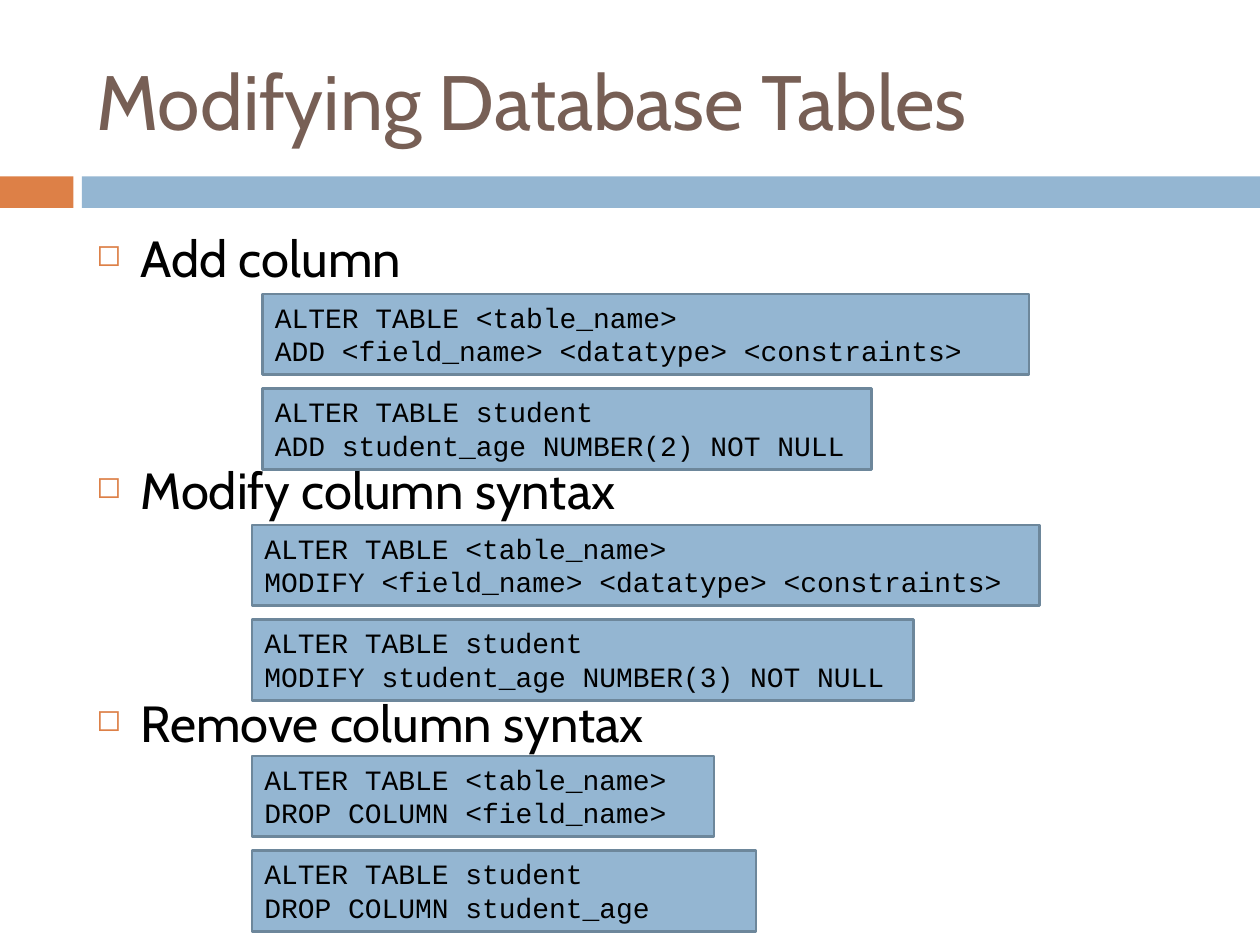
from dataclasses import dataclass

from lxml import etree
from pptx import Presentation
from pptx import util as u
from pptx.dml.color import RGBColor
from pptx.enum import shapes, text
from pptx.oxml import ns

ORANGE = RGBColor(0xDD, 0x80, 0x47)
BLUE = RGBColor(0x94, 0xB6, 0xD2)
EDGE = RGBColor(0x6D, 0x87, 0x9B)
BROWN = RGBColor(0x77, 0x5F, 0x55)
BLACK = RGBColor(0, 0, 0)

CELL = u.Inches(10) / 120
COLUMNS, ROWS = 120, 90
CODE_HEIGHT = 7.7
EXAMPLE_OFFSET = 9
BULLET_INDENT = u.Inches(0.35)

TITLE_FORMAT = {"name": "Cabin", "size": u.Pt(44)}
HEADING_FORMAT = {"name": "Cabin", "size": u.Pt(29)}
CODE_FORMAT = {"name": "Courier New", "size": u.Pt(16)}


@dataclass(frozen=True)
class Area:
    column: float
    row: float
    columns: float
    rows: float

    def lengths(self) -> list[int]:
        return [round(value * CELL) for value in (self.column, self.row, self.columns, self.rows)]


@dataclass(frozen=True)
class Section:
    heading: str
    space_before: float
    column: float
    row: float
    syntax_columns: float
    syntax: str
    example_columns: float
    example: str


SECTIONS = (
    Section("Add column", 7, 25, 28,
            73, "ADD <field_name> <datatype> <constraints>",
            58, "ADD student_age NUMBER(2) NOT NULL"),
    Section("Modify column syntax", 98, 24, 50,
            75, "MODIFY <field_name> <datatype> <constraints>",
            63, "MODIFY student_age NUMBER(3) NOT NULL"),
    Section("Remove column syntax", 98, 24, 72,
            44, "DROP COLUMN <field_name>",
            48, "DROP COLUMN student_age"),
)


def set_attributes(target, values: dict) -> None:
    for name, value in values.items():
        setattr(target, name, value)


def write_lines(frame, lines: list[str], font_format: dict, color: RGBColor) -> None:
    for index, line in enumerate(lines):
        paragraph = frame.add_paragraph() if index else frame.paragraphs[0]
        paragraph.alignment = text.PP_ALIGN.LEFT
        run = paragraph.add_run()
        run.text = line
        set_attributes(run.font, font_format)
        run.font.color.rgb = color


def add_text(slide, area: Area, lines: list[str], font_format: dict,
             color: RGBColor, anchor: text.MSO_ANCHOR):
    frame = slide.shapes.add_textbox(*area.lengths()).text_frame
    set_attributes(frame, {"word_wrap": True, "vertical_anchor": anchor})
    write_lines(frame, lines, font_format, color)
    return frame


def add_bullet(paragraph) -> None:
    properties = paragraph._p.get_or_add_pPr()
    properties.set("marL", str(BULLET_INDENT))
    properties.set("indent", str(-BULLET_INDENT))
    color = etree.SubElement(properties, ns.qn("a:buClr"))
    etree.SubElement(color, ns.qn("a:srgbClr"), val=str(ORANGE))
    etree.SubElement(properties, ns.qn("a:buSzPct"), val="60000")
    etree.SubElement(properties, ns.qn("a:buChar"), char="◻")


def add_rectangle(slide, area: Area, fill: RGBColor):
    shape = slide.shapes.add_shape(shapes.MSO_SHAPE.RECTANGLE, *area.lengths())
    shape.shadow.inherit = False
    shape.fill.solid()
    shape.fill.fore_color.rgb = fill
    shape.line.fill.background()
    return shape


def add_code(slide, area: Area, lines: list[str]) -> None:
    shape = add_rectangle(slide, area, BLUE)
    shape.line.color.rgb = EDGE
    shape.line.width = u.Pt(1.5)
    set_attributes(shape.text_frame, {
        "word_wrap": True,
        "auto_size": text.MSO_AUTO_SIZE.SHAPE_TO_FIT_TEXT,
        "vertical_anchor": text.MSO_ANCHOR.TOP,
    })
    write_lines(shape.text_frame, lines, CODE_FORMAT, BLACK)


def main() -> None:
    presentation = Presentation()
    presentation.slide_width = round(COLUMNS * CELL)
    presentation.slide_height = round(ROWS * CELL)
    slide = presentation.slides.add_slide(presentation.slide_layouts[6])

    add_rectangle(slide, Area(0, 16.8, 7, 3), ORANGE)
    add_rectangle(slide, Area(7.8, 16.8, COLUMNS - 7.8, 3), BLUE)
    add_text(slide, Area(8, 3, 107, 13), ["Modifying Database Tables"],
             TITLE_FORMAT, BROWN, text.MSO_ANCHOR.MIDDLE)

    headings = [section.heading for section in SECTIONS]
    body = add_text(slide, Area(8, 21, 107, 59), headings,
                    HEADING_FORMAT, BLACK, text.MSO_ANCHOR.TOP)
    for paragraph, section in zip(body.paragraphs, SECTIONS):
        paragraph.space_before = u.Pt(section.space_before)
        add_bullet(paragraph)

    for section in SECTIONS:
        add_code(slide, Area(section.column, section.row, section.syntax_columns, CODE_HEIGHT),
                 ["ALTER TABLE <table_name>", section.syntax])
        add_code(slide, Area(section.column, section.row + EXAMPLE_OFFSET,
                             section.example_columns, CODE_HEIGHT),
                 ["ALTER TABLE student", section.example])

    presentation.save("out.pptx")


if __name__ == "__main__":
    main()
